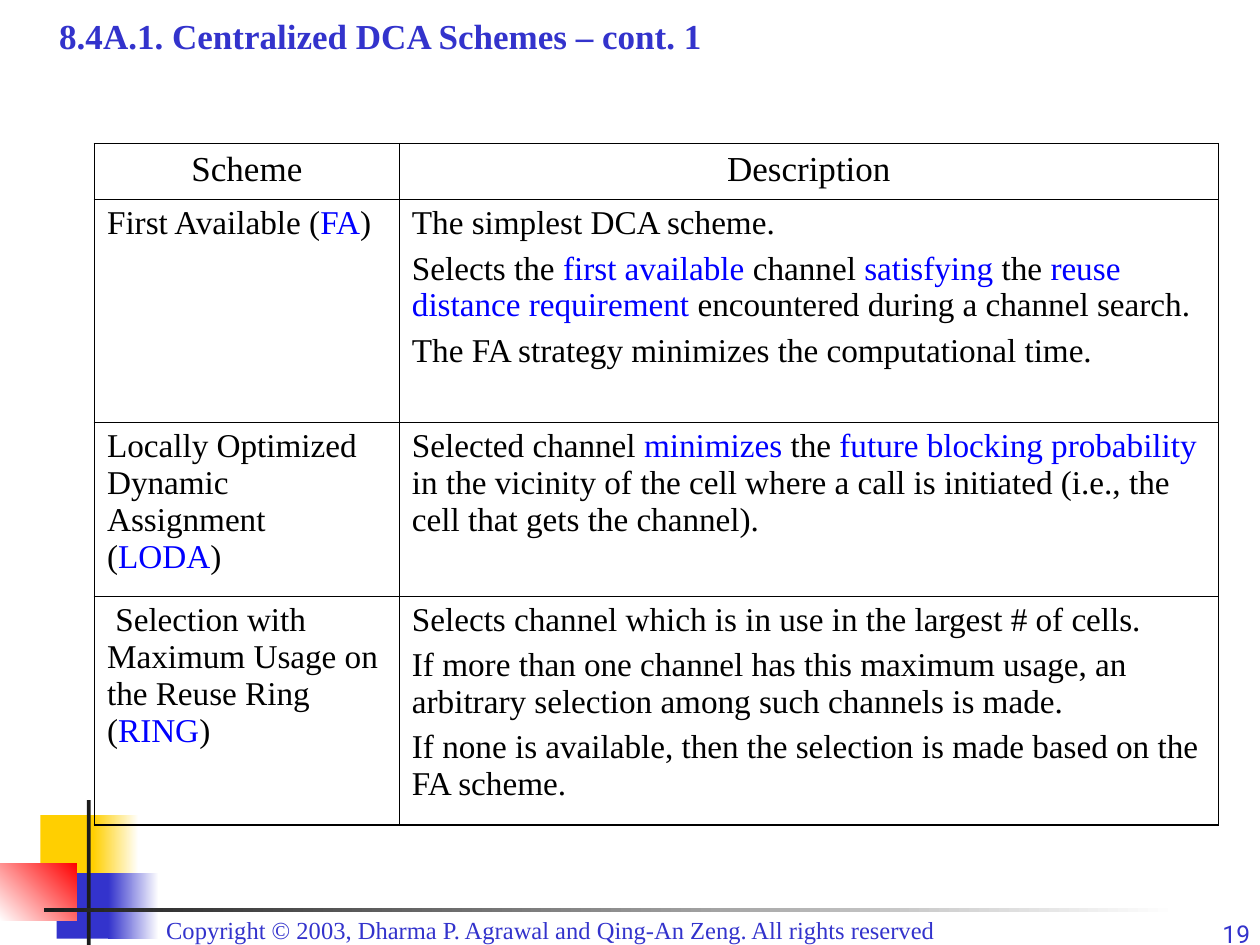
from dataclasses import dataclass

from lxml.etree import SubElement
from pptx import Presentation
from pptx.dml.color import RGBColor
from pptx.enum.shapes import MSO_SHAPE
from pptx.enum.text import MSO_ANCHOR, MSO_AUTO_SIZE, PP_ALIGN
from pptx.oxml.ns import qn
from pptx.util import Inches, Pt


@dataclass(frozen=True)
class Theme:
    blue: str = "3333CC"
    yellow: str = "FFCF01"
    red: str = "FF0000"
    dark: str = "1C1C1C"
    white: str = "FFFFFF"
    ink: str = "000000"
    term: str = "0000FF"
    serif: str = "Times New Roman"
    sans: str = "Roboto"
    heading_size: int = 20
    body_size: int = 19
    footer_size: int = 14
    outer_line: float = 1.08
    inner_line: float = 0.45


THEME = Theme()

# Each row: scheme, then description paragraphs; *...* marks a key term
SCHEMES = [
    ("First Available (*FA*)",
     ["The simplest DCA scheme.",
      "Selects the *first available* channel *satisfying* the "
      "*reuse distance requirement* encountered during a channel search.",
      "The FA strategy minimizes the computational time."]),
    ("Locally Optimized Dynamic Assignment (*LODA*)",
     ["Selected channel *minimizes *the *future blocking probability* in the "
      "vicinity of the cell where a call is initiated (i.e., the cell that "
      "gets the channel)."]),
    (" Selection with Maximum Usage on the Reuse Ring (*RING*)",
     ["Selects channel which is in use in the largest # of cells.",
      "If more than one channel has this maximum usage, an arbitrary "
      "selection among such channels is made.",
      "If none is available, then the selection is made based on the FA "
      "scheme."]),
]
COLUMN_WIDTHS = [2.42, 6.5]
ROW_HEIGHTS = [0.44, 1.77, 1.38, 1.82]


def write_text(frame, *paragraphs, size=THEME.body_size, font=THEME.serif,
               color=THEME.ink, bold=False, align=PP_ALIGN.LEFT, gap=4.8):
    """Fill a text frame; every second piece between asterisks is a term."""
    frame.word_wrap = True
    for index, content in enumerate(paragraphs):
        paragraph = frame.add_paragraph() if index else frame.paragraphs[0]
        paragraph.alignment = align
        paragraph.space_before = Pt(gap if index else 0)
        for part, piece in enumerate(content.split("*")):
            if not piece:
                continue
            run = paragraph.add_run()
            run.text = piece
            run.font.size = Pt(size)
            run.font.name = font
            run.font.bold = bold
            run.font.color.rgb = RGBColor.from_string(
                THEME.term if part % 2 else color)


def add_block(slide, box, start, end=None, angle=0):
    """Add a borderless rectangle, solid or fading from start to end."""
    block = slide.shapes.add_shape(MSO_SHAPE.RECTANGLE, *map(Inches, box))
    block.shadow.inherit = False
    block.line.fill.background()
    if end is None:
        block.fill.solid()
        block.fill.fore_color.rgb = RGBColor.from_string(start)
        return
    block.fill.gradient()
    block.fill.gradient_angle = angle
    for stop, color in zip(block.fill.gradient_stops, (start, end)):
        stop.color.rgb = RGBColor.from_string(color)


def add_decoration(slide):
    add_block(slide, (0.32, 6.47, 0.48, 0.52), THEME.yellow)
    add_block(slide, (0.74, 6.47, 0.36, 0.52), THEME.white, THEME.yellow, 180)
    add_block(slide, (0.45, 6.93, 0.46, 0.52), THEME.blue)
    add_block(slide, (0.86, 6.93, 0.4, 0.52), THEME.white, THEME.blue, 180)
    add_block(slide, (0, 6.85, 0.61, 0.46), THEME.red, THEME.white, 225)
    add_block(slide, (0.69, 6.35, 0.03, 1.15), THEME.dark)
    add_block(slide, (0.35, 7.21, 9, 0.03), THEME.white, THEME.dark, 180)


def add_footer(slide, box, text, inset, **text_format):
    frame = slide.shapes.add_textbox(*map(Inches, box)).text_frame
    frame.margin_top = frame.margin_bottom = Inches(inset)
    frame.auto_size = MSO_AUTO_SIZE.SHAPE_TO_FIT_TEXT
    write_text(frame, text, size=THEME.footer_size, color=THEME.blue,
               **text_format)


def set_title(slide, text):
    title = slide.shapes.title
    title.left, title.top, title.width, title.height = map(
        Inches, (0.37, 0.1, 8.87, 0.4))
    frame = title.text_frame
    frame.vertical_anchor = MSO_ANCHOR.BOTTOM
    frame.auto_size = MSO_AUTO_SIZE.NONE
    write_text(frame, text, size=THEME.heading_size, color=THEME.blue,
               bold=True)


def set_borders(cell, outer_sides):
    """Draw all four cell borders, heavier on the table's outer sides."""
    properties = cell._tc.get_or_add_tcPr()
    for position, side in enumerate("LRTB"):
        weight = THEME.outer_line if side in outer_sides else THEME.inner_line
        line = SubElement(properties, qn(f"a:ln{side}"), w=str(Pt(weight)))
        fill = SubElement(line, qn("a:solidFill"))
        SubElement(fill, qn("a:srgbClr"), val=THEME.ink)
        properties.insert(position, line)


def add_scheme_table(slide):
    rows, columns = len(ROW_HEIGHTS), len(COLUMN_WIDTHS)
    table = slide.shapes.add_table(
        rows, columns, Inches(0.75), Inches(1.14),
        Inches(sum(COLUMN_WIDTHS)), Inches(sum(ROW_HEIGHTS))).table
    table.first_row = table.horz_banding = False
    for column, width in zip(table.columns, COLUMN_WIDTHS):
        column.width = Inches(width)
    for row, height in zip(table.rows, ROW_HEIGHTS):
        row.height = Inches(height)

    # Header and scheme rows
    for column, heading in enumerate(("Scheme", "Description")):
        write_text(table.cell(0, column).text_frame, heading,
                   size=THEME.heading_size, align=PP_ALIGN.CENTER)
    for row, (scheme, description) in enumerate(SCHEMES, start=1):
        write_text(table.cell(row, 0).text_frame, scheme)
        write_text(table.cell(row, 1).text_frame, *description)

    # Cell look
    for row in range(rows):
        for column in range(columns):
            cell = table.cell(row, column)
            cell.fill.background()
            outer = {"L": column == 0, "R": column == columns - 1,
                     "T": row == 0, "B": row == rows - 1}
            set_borders(cell, [side for side in outer if outer[side]])


def main():
    deck = Presentation()
    deck.slide_width, deck.slide_height = Inches(10), Inches(7.5)
    slide = deck.slides.add_slide(deck.slide_layouts[5])

    add_decoration(slide)
    add_footer(slide, (1.22, 7.21, 7.58, 0.34),
               "Copyright © 2003, Dharma P. Agrawal and Qing-An Zeng. "
               "All rights reserved", 0.05)
    add_footer(slide, (9.22, 7.29, 0.8, 0.27), "19", 0,
               font=THEME.sans, align=PP_ALIGN.RIGHT)
    set_title(slide, "8.4A.1. Centralized DCA Schemes – cont. 1")
    add_scheme_table(slide)

    deck.save("out.pptx")


if __name__ == "__main__":
    main()
